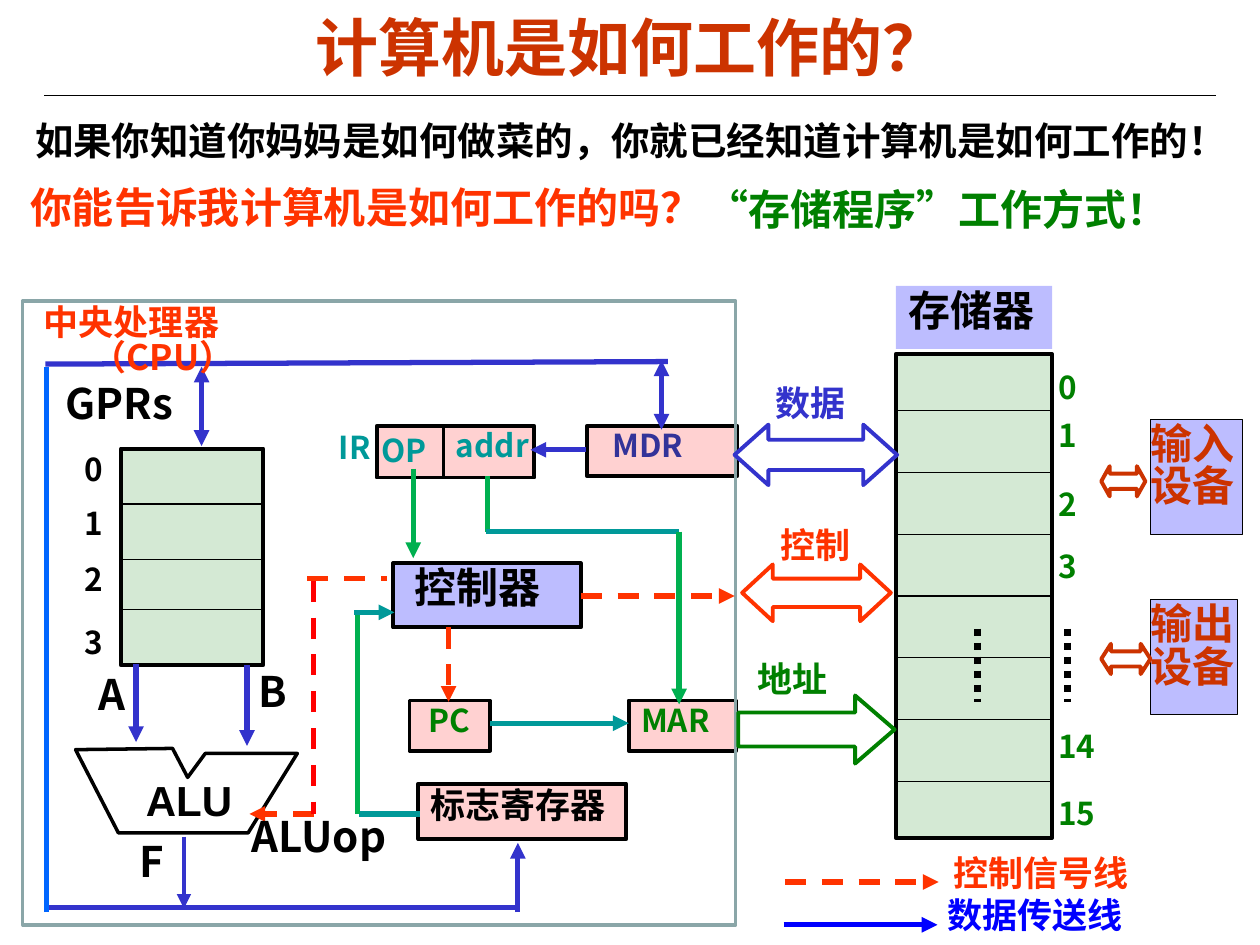
import pptx
import pptx.util
import pptx.dml.color
import pptx.enum.dml
import pptx.enum.shapes
import pptx.enum.text
import pptx.oxml
import pptx.oxml.ns

Pt = pptx.util.Pt
SHAPES = pptx.enum.shapes.MSO_SHAPE
DASHES = pptx.enum.dml.MSO_LINE
ANCHORS = pptx.enum.text.MSO_ANCHOR
ALIGN = pptx.enum.text.PP_ALIGN
qn = pptx.oxml.ns.qn

CJK = "Noto Sans CJK SC"
BLACK, RED, ORANGE, GREEN = "000000", "CC3300", "FF3300", "008000"
BLUE, TEAL, LEAF = "3333CC", "009999", "00B050"
PINK_TINT, BLUE_TINT, GREEN_TINT = ("FF0000", 18), ("0000FF", 26), ("008000", 17)

TITLE = "计算机是如何工作的？"

# text, left, top, width, height, size, colour
LABELS = [
    ("如果你知道你妈妈是如何做菜的，你就已经知道计算机是如何工作的！", 0.18, 0.94, 9.73, 0.47, 22, BLACK),
    ("你能告诉我计算机是如何工作的吗？", 0.14, 1.46, 6.2, 0.5, 24, ORANGE),
    ("“存储程序”工作方式！", 5.51, 1.47, 4.02, 0.5, 24, GREEN),
    ("中央处理器（CPU）", 0.25, 2.39, 2.2, 0.44, 20, ORANGE),
    ("GPRs", 0.42, 3.01, 1.28, 0.5, 24, BLACK),
    ("A", 0.68, 5.32, 0.68, 0.5, 24, BLACK),
    ("B", 1.95, 5.3, 0.68, 0.5, 24, BLACK),
    ("F", 1.01, 6.65, 0.68, 0.5, 24, BLACK),
    ("ALUop", 1.9, 6.45, 1.38, 0.51, 24, BLACK),
    ("IR", 2.59, 3.4, 0.54, 0.4, 18, TEAL),
    ("OP", 2.93, 3.42, 0.62, 0.4, 18, TEAL),
    ("addr", 3.52, 3.38, 0.82, 0.4, 18, TEAL),
    ("数据", 6.06, 3.03, 0.88, 0.5, 20, BLUE),
    ("控制", 6.1, 4.16, 0.83, 0.5, 20, ORANGE),
    ("地址", 5.91, 5.22, 0.98, 0.5, 20, GREEN),
    ("控制信号线", 7.47, 6.76, 1.86, 0.44, 20, ORANGE),
    ("数据传送线", 7.42, 7.1, 1.86, 0.44, 20, "0000FF"),
]
REGISTER_NUMBERS = [("0", 3.57), ("1", 4), ("2", 4.44), ("3", 4.94)]
ADDRESSES = [("0", 2.92), ("1", 3.3), ("2", 3.85), ("3", 4.34), ("14", 5.77), ("15", 6.3)]

# text, left, top, width, height, tint, border width, size, colour, inset
BOXES = [
    ("", 0.96, 3.56, 1.13, 1.72, GREEN_TINT, 2.25, 18, BLACK, 0.1),
    ("", 7.11, 2.81, 1.24, 3.84, GREEN_TINT, 2.25, 18, BLACK, 0.1),
    ("", 2.99, 3.38, 1.25, 0.41, PINK_TINT, 2.25, 18, BLACK, 0.1),
    ("PC", 3.25, 5.56, 0.64, 0.4, PINK_TINT, 2, 18, GREEN, 0.15),
    ("MAR", 4.99, 5.56, 0.85, 0.4, PINK_TINT, 2.25, 18, GREEN, 0.1),
    ("MDR", 4.66, 3.38, 1.19, 0.4, PINK_TINT, 2.25, 18, "333399", 0.2),
    ("标志寄存器", 3.32, 6.22, 1.65, 0.44, PINK_TINT, 2.25, 20, BLACK, 0.1),
    ("控制器", 3.12, 4.47, 1.49, 0.51, BLUE_TINT, 2.25, 24, BLACK, 0.17),
    ("存储器", 7.11, 2.27, 1.24, 0.5, BLUE_TINT, 0, 24, BLACK, 0.1),
    ("输入\n设备", 9.13, 3.33, 0.73, 0.91, BLUE_TINT, 0.75, 24, RED, 0),
    ("输出\n设备", 9.13, 4.76, 0.69, 0.91, BLUE_TINT, 0.75, 24, RED, 0),
    ("", 0.18, 2.39, 5.66, 4.95, None, 2, 18, BLACK, 0.1),
]

# shape, left, top, width, height, head ratio, colour
BUS_ARROWS = [
    (SHAPES.LEFT_RIGHT_ARROW, 5.83, 3.37, 1.29, 0.48, 0.56, BLUE),
    (SHAPES.LEFT_RIGHT_ARROW, 5.89, 4.48, 1.18, 0.45, 0.54, ORANGE),
    (SHAPES.RIGHT_ARROW, 5.86, 5.52, 1.24, 0.54, 0.58, GREEN),
    (SHAPES.LEFT_RIGHT_ARROW, 8.74, 3.7, 0.35, 0.24, 0.28, RED),
    (SHAPES.LEFT_RIGHT_ARROW, 8.74, 5.11, 0.39, 0.24, 0.32, RED),
]

ALU_OUTLINE = [(0.6, 5.95), (1.37, 5.94), (1.49, 6.17), (1.63, 5.98),
               (2.36, 5.98), (1.97, 6.61), (0.94, 6.61)]

# x1, y1, x2, y2, colour, width, arrow ends, dash
WIRES = [
    (0.35, 0.76, 9.65, 0.76, BLACK, 0.75, "", None),
    (3.52, 3.38, 3.52, 3.8, BLACK, 2, "", None),
    (1.08, 5.27, 1.08, 5.89, BLUE, 3, "tail", None),
    (1.96, 5.28, 1.96, 5.92, BLUE, 3, "tail", None),
    (4.61, 4.73, 5.83, 4.73, ORANGE, 3, "tail", DASHES.DASH),
    (8.47, 4.99, 8.47, 5.57, BLACK, 4, "", DASHES.ROUND_DOT),
    (7.76, 4.99, 7.76, 5.57, BLACK, 4, "", DASHES.ROUND_DOT),
    (0.37, 7.2, 4.11, 7.2, BLUE, 3, "", None),
    (4.11, 7.24, 4.11, 6.69, BLUE, 3, "tail", None),
    (1.46, 6.64, 1.46, 7.21, BLUE, 2.75, "tail", None),
    (0.37, 7.24, 0.37, 2.91, "0066FF", 3, "", None),
    (0.36, 2.89, 5.3, 2.87, BLUE, 3, "", None),
    (5.25, 2.86, 5.25, 3.41, BLUE, 3, "head tail", None),
    (1.6, 2.91, 1.6, 3.54, BLUE, 3, "head tail", None),
    (4.65, 3.57, 4.21, 3.57, BLUE, 3, "tail", None),
    (3.28, 3.72, 3.28, 4.43, LEAF, 3, "tail", None),
    (3.89, 5.74, 4.99, 5.74, TEAL, 3, "tail", None),
    (3.87, 3.78, 3.87, 4.22, LEAF, 3, "", None),
    (3.86, 4.22, 5.39, 4.22, TEAL, 3, "", None),
    (5.39, 4.22, 5.39, 5.59, LEAF, 3, "tail", None),
    (2.44, 4.59, 3.07, 4.59, ORANGE, 3, "", DASHES.DASH),
    (2.49, 6.46, 1.98, 6.46, ORANGE, 3, "tail", DASHES.DASH),
    (2.49, 4.61, 2.49, 6.46, "FF0000", 3, "", DASHES.DASH),
    (2.85, 6.46, 3.33, 6.46, TEAL, 3, "", None),
    (2.84, 4.88, 2.84, 6.46, LEAF, 3, "", None),
    (2.81, 4.86, 3.13, 4.86, TEAL, 3, "tail", None),
    (3.56, 4.98, 3.56, 5.57, ORANGE, 3, "tail", DASHES.DASH),
    (6.23, 7, 7.45, 7, ORANGE, 3, "tail", DASHES.DASH),
    (6.22, 7.34, 7.44, 7.34, "0000FF", 3, "tail", None),
]
WIRES += [(0.96, y, 2.09, y, BLACK, 0.75, "", None) for y in (4, 4.44, 4.84)]
WIRES += [(7.11, 3.26 + 0.49 * row, 8.35, 3.26 + 0.49 * row, BLACK, 0.75, "", None) for row in range(7)]


def cm(inches):
    return pptx.util.Cm(inches * 2.54)


def paint(color_format, hex_color):
    color_format.rgb = pptx.dml.color.RGBColor.from_string(hex_color)


def outline(shape, color, width):
    shape.shadow.inherit = False
    if width:
        paint(shape.line.fill.solid() or shape.line.color, color)
        shape.line.width = Pt(width)
    else:
        shape.line.fill.background()


def write(shape, text, size=18, color=BLACK, font=CJK, inset=0.1, align=ALIGN.LEFT,
          anchor=ANCHORS.TOP, spacing=0.84, hanging=0.38):
    frame = shape.text_frame
    frame.word_wrap = True
    frame.vertical_anchor = anchor
    frame.margin_left = frame.margin_right = cm(inset)
    frame.margin_top = frame.margin_bottom = cm(0.05)
    frame.text = text
    for paragraph in frame.paragraphs:
        paragraph.alignment = align
        paragraph.line_spacing = spacing
        properties = paragraph._p.get_or_add_pPr()
        properties.set("marL", str(cm(hanging)))
        properties.set("indent", str(-cm(hanging)))
        for run in paragraph.runs:
            run.font.size, run.font.bold, run.font.name = Pt(size), True, font
            paint(run.font.color, color)
            east_asian = run.font._element.makeelement(qn("a:ea"), {"typeface": CJK})
            run.font._element.find(qn("a:latin")).addnext(east_asian)


def label(slide, text, left, top, width, height, **style):
    write(slide.shapes.add_textbox(cm(left), cm(top), cm(width), cm(height)), text, **style)


def box(slide, text, left, top, width, height, tint, border, size, color, inset):
    block = slide.shapes.add_shape(SHAPES.RECTANGLE, cm(left), cm(top), cm(width), cm(height))
    outline(block, BLACK if tint else "8AA6A8", border)
    if tint:
        block.fill.solid()
        paint(block.fill.fore_color, tint[0])
        shade = block._element.spPr.find(qn("a:solidFill"))[0]
        shade.append(shade.makeelement(qn("a:alpha"), {"val": str(tint[1] * 1000)}))
    else:
        block.fill.background()
    if text:
        write(block, text, size=size, color=color, inset=inset)


def bus_arrow(slide, kind, left, top, width, height, head, color):
    arrow = slide.shapes.add_shape(kind, cm(left), cm(top), cm(width), cm(height))
    arrow.adjustments[0], arrow.adjustments[1] = 0.5, head
    arrow.fill.solid()
    paint(arrow.fill.fore_color, "FFFFFF")
    outline(arrow, color, 2.25)


def wire(slide, x1, y1, x2, y2, color, width, ends, dash):
    link = slide.shapes.add_connector(
        pptx.enum.shapes.MSO_CONNECTOR.STRAIGHT, cm(x1), cm(y1), cm(x2), cm(y2))
    paint(link.line.color, color)
    link.line.width = Pt(width)
    if dash:
        link.line.dash_style = dash
    stroke = link.line._get_or_add_ln()
    for end in ends.split():
        stroke.append(stroke.makeelement(qn(f"a:{end}End"), {"type": "triangle"}))
    properties = link._element.spPr
    properties.append(properties.makeelement(qn("a:effectLst"), {}))


def main():
    deck = pptx.Presentation()
    deck.slide_width, deck.slide_height = cm(10), cm(7.5)
    slide = deck.slides.add_slide(deck.slide_layouts[5])
    heading = slide.shapes.title
    heading.left, heading.top, heading.width, heading.height = cm(0.5), cm(0.11), cm(9), cm(0.61)
    write(heading, TITLE, size=36, color=RED, font="Arial", align=ALIGN.CENTER,
          anchor=ANCHORS.MIDDLE, hanging=0)
    for item in BOXES:
        box(slide, *item)
    for item in BUS_ARROWS:
        bus_arrow(slide, *item)
    points = [(cm(x), cm(y)) for x, y in ALU_OUTLINE]
    builder = slide.shapes.build_freeform(*points[0])
    builder.add_line_segments(points[1:], close=True)
    alu = builder.convert_to_shape()
    alu.fill.background()
    outline(alu, BLACK, 2)
    for item in WIRES:
        wire(slide, *item)
    for text, left, top, width, height, size, color in LABELS:
        label(slide, text, left, top, width, height, size=size, color=color)
    label(slide, "ALU", 1.06, 6.14, 1, 0.51, size=24, font="Arial", spacing=0.9, hanging=0)
    for text, top in REGISTER_NUMBERS:
        label(slide, text, 0.57, top, 0.35, 0.4)
    for text, top in ADDRESSES:
        label(slide, text, 8.3, top, 0.53, 0.4, color=GREEN)
    deck.save("out.pptx")


if __name__ == "__main__":
    main()
